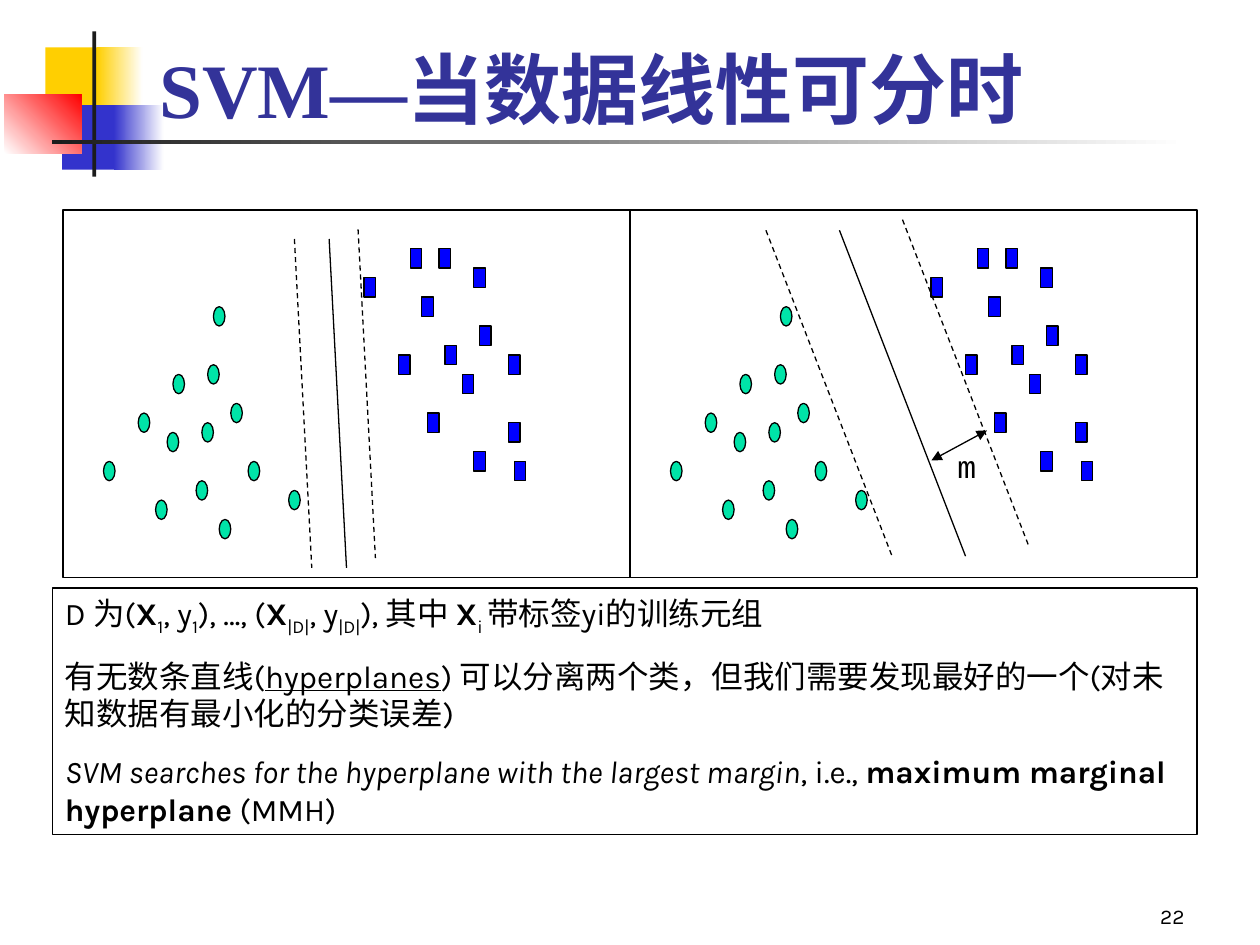
import pptx
import pptx.util
import pptx.dml.color
import pptx.enum.dml
import pptx.enum.shapes
import pptx.enum.text
import pptx.oxml
import pptx.oxml.ns
from dataclasses import dataclass

Pt = pptx.util.Pt
SHAPES = pptx.enum.shapes.MSO_SHAPE
ALIGN = pptx.enum.text.PP_ALIGN
ANCHOR = pptx.enum.text.MSO_ANCHOR


@dataclass(frozen=True)
class Theme:
    title_font: str = "Times New Roman"
    body_font: str = "Karla"
    label_font: str = "Courier New"
    title_size: int = 44
    body_size: int = 18
    number_size: int = 12
    paragraph_gap: float = 11.2
    line_width: float = 0.75
    title: str = "333399"
    ink: str = "000000"
    circle: str = "00E4A8"
    square: str = "0000FF"
    yellow: str = "FFCF01"
    blue: str = "3333CC"
    red: str = "FF0000"
    rule: str = "1C1C1C"
    white: str = "FFFFFF"


THEME = Theme()

TITLE = "SVM—当数据线性可分时"
PAGE_NUMBER = "22"
MARGIN_LABEL = "m"

EXPLANATION = [
    [("D 为(", ""), ("X", "bold"), ("1", "subscript"), (", y", ""), ("1", "subscript"),
     ("), …, (", ""), ("X", "bold"), ("|D|", "subscript"), (", y", ""),
     ("|D|", "subscript"), ("), 其中 ", ""), ("X", "bold"), ("i ", "subscript"),
     ("带标签yi的训练元组", "")],
    [("有无数条直线(", ""), ("hyperplanes", "underline"),
     (") 可以分离两个类，但我们需要发现最好的一个(对未知数据有最小化的分类误差)", "")],
    [("SVM searches for the hyperplane with the largest margin", "italic"),
     (", i.e., ", ""), ("maximum marginal hyperplane", "bold"), (" (MMH)", "")],
]

ORNAMENTS = [
    ((26, 27, 34.5, 37), (THEME.yellow,), 0),
    ((55.5, 27, 26, 37), (THEME.yellow, THEME.white), 0),
    ((35.5, 60, 33, 37), (THEME.blue,), 0),
    ((65, 60, 28.5, 37), (THEME.blue, THEME.white), 0),
    ((2.5, 54, 44, 33.5), (THEME.white, THEME.red), 45),
    ((52.75, 18, 2.25, 83), (THEME.rule,), 0),
    ((29.75, 80, 648, 2.5), (THEME.rule, THEME.white), 0),
]

CIRCLE_CELLS = [(16, 30), (18, 23), (7, 26), (13, 21), (23, 28), (19, 17), (24, 22),
                (25, 16), (29, 20), (32, 26), (27, 32), (39, 29), (26, 10)]
SQUARE_CELLS = [(58, 15), (52, 7), (60, 4), (63, 21), (62, 9), (66, 14), (65, 4),
                (71, 6), (69, 17), (72, 12), (71, 25), (77, 15), (77, 22), (78, 26)]
MARKERS = [(SHAPES.OVAL, THEME.circle, CIRCLE_CELLS),
           (SHAPES.RECTANGLE, THEME.square, SQUARE_CELLS)]

SMALL_MARGIN = [((51, 2), (54, 36), True), ((40, 3), (43, 37), True),
                ((46, 3), (49, 37), False)]
LARGE_MARGIN = [((23.5, 2.1), (45.3, 35.8), True), ((47.1, 1), (68.9, 34.7), True),
                ((36.2, 2.1), (58, 35.8), False)]
MARGIN_ARROW = ((52.1, 25.9), (61.7, 22.8))

PANEL_LEFT, PANEL_TOP, PANEL_WIDTH, PANEL_HEIGHT = 36, 120, 324, 210
CELL_WIDTH, CELL_HEIGHT = PANEL_WIDTH / 98, PANEL_HEIGHT / 38


def color(value):
    return pptx.dml.color.RGBColor.from_string(value)


def points(values):
    return [Pt(value) for value in values]


def outline(line):
    line.color.rgb = color(THEME.ink)
    line.width = Pt(THEME.line_width)


def add_box(shapes, kind, box, fills=(), angle=0, outlined=False):
    shape = shapes.add_shape(kind, *points(box))
    shape.shadow.inherit = False
    if len(fills) == 2:
        shape.fill.gradient()
        shape.fill.gradient_angle = angle
        for stop, value in zip(shape.fill.gradient_stops, fills):
            stop.color.rgb = color(value)
    elif fills:
        shape.fill.solid()
        shape.fill.fore_color.rgb = color(fills[0])
    else:
        shape.fill.background()
    if outlined:
        outline(shape.line)
    else:
        shape.line.fill.background()


def add_line(shapes, panel, start, end, dashed=False, arrows=False):
    begin, finish = grid_point(panel, start), grid_point(panel, end)
    connector = shapes.add_connector(pptx.enum.shapes.MSO_CONNECTOR.STRAIGHT,
                                     *points(begin + finish))
    outline(connector.line)
    if dashed:
        connector.line.dash_style = pptx.enum.dml.MSO_LINE.DASH
    if arrows:
        for end_tag in ("a:headEnd", "a:tailEnd"):
            arrow = pptx.oxml.ns.qn(end_tag)
            line_element = connector.line._get_or_add_ln()
            line_element.append(line_element.makeelement(arrow, {"type": "triangle"}))
    properties = connector._element.spPr
    properties.append(properties.makeelement(pptx.oxml.ns.qn("a:effectLst"), {}))


def grid_point(panel, cell):
    left = PANEL_LEFT + panel * PANEL_WIDTH
    return (left + cell[0] * CELL_WIDTH, PANEL_TOP + cell[1] * CELL_HEIGHT)


def add_panel(slide, panel, lines):
    shapes = slide.shapes.add_group_shape().shapes
    for kind, fill, cells in MARKERS:
        for cell in cells:
            box = grid_point(panel, cell) + (2 * CELL_WIDTH, 2 * CELL_HEIGHT)
            add_box(shapes, kind, box, (fill,), outlined=True)
    frame = grid_point(panel, (0, 0)) + (PANEL_WIDTH, PANEL_HEIGHT)
    add_box(shapes, SHAPES.RECTANGLE, frame, outlined=True)
    for start, end, dashed in lines:
        add_line(shapes, panel, start, end, dashed)


def format_run(run, font, size, value, style=""):
    run.font.name = font
    run.font.size = Pt(size)
    run.font.color.rgb = color(value)
    if style == "subscript":
        run._r.get_or_add_rPr().set("baseline", "-25000")
    elif style:
        setattr(run.font, style, True)


def add_text(slide, box, paragraphs, font, size, align=ALIGN.LEFT, anchor=ANCHOR.TOP):
    text_box = slide.shapes.add_textbox(*points(box))
    frame = text_box.text_frame
    frame.word_wrap = True
    frame.vertical_anchor = anchor
    for index, pieces in enumerate(paragraphs):
        paragraph = frame.add_paragraph() if index else frame.paragraphs[0]
        paragraph.alignment = align
        if index:
            paragraph.space_before = Pt(THEME.paragraph_gap)
        for text, style in pieces:
            run = paragraph.add_run()
            run.text = text
            format_run(run, font, size, THEME.ink, style)
    return text_box


def add_title(slide):
    title = slide.shapes.title
    title.left, title.top, title.width, title.height = points((84, 31.5, 546, 48.5))
    frame = title.text_frame
    frame.text = TITLE
    frame.auto_size = pptx.enum.text.MSO_AUTO_SIZE.NONE
    frame.vertical_anchor = ANCHOR.BOTTOM
    frame.paragraphs[0].alignment = ALIGN.LEFT
    format_run(frame.paragraphs[0].runs[0], THEME.title_font, THEME.title_size,
               THEME.title, "bold")


def main():
    presentation = pptx.Presentation()
    presentation.slide_width, presentation.slide_height = Pt(720), Pt(540)
    slide = presentation.slides.add_slide(presentation.slide_layouts[5])
    for box, fills, angle in ORNAMENTS:
        add_box(slide.shapes, SHAPES.RECTANGLE, box, fills, angle)
    title_element = slide.shapes.title._element
    title_element.getparent().append(title_element)
    add_title(slide)
    for panel, lines in enumerate((SMALL_MARGIN, LARGE_MARGIN)):
        add_panel(slide, panel, lines)
    add_line(slide.shapes, 1, *MARGIN_ARROW, arrows=True)
    add_text(slide, (540, 252, 42, 29), [[(MARGIN_LABEL, "")]],
             THEME.label_font, THEME.body_size)
    explanation = add_text(slide, (30, 336, 654, 141), EXPLANATION,
                           THEME.body_font, THEME.body_size)
    outline(explanation.line)
    add_text(slide, (534, 498, 150, 36), [[(PAGE_NUMBER, "")]], THEME.body_font,
             THEME.number_size, ALIGN.RIGHT, ANCHOR.BOTTOM)
    presentation.save("out.pptx")


if __name__ == "__main__":
    main()
